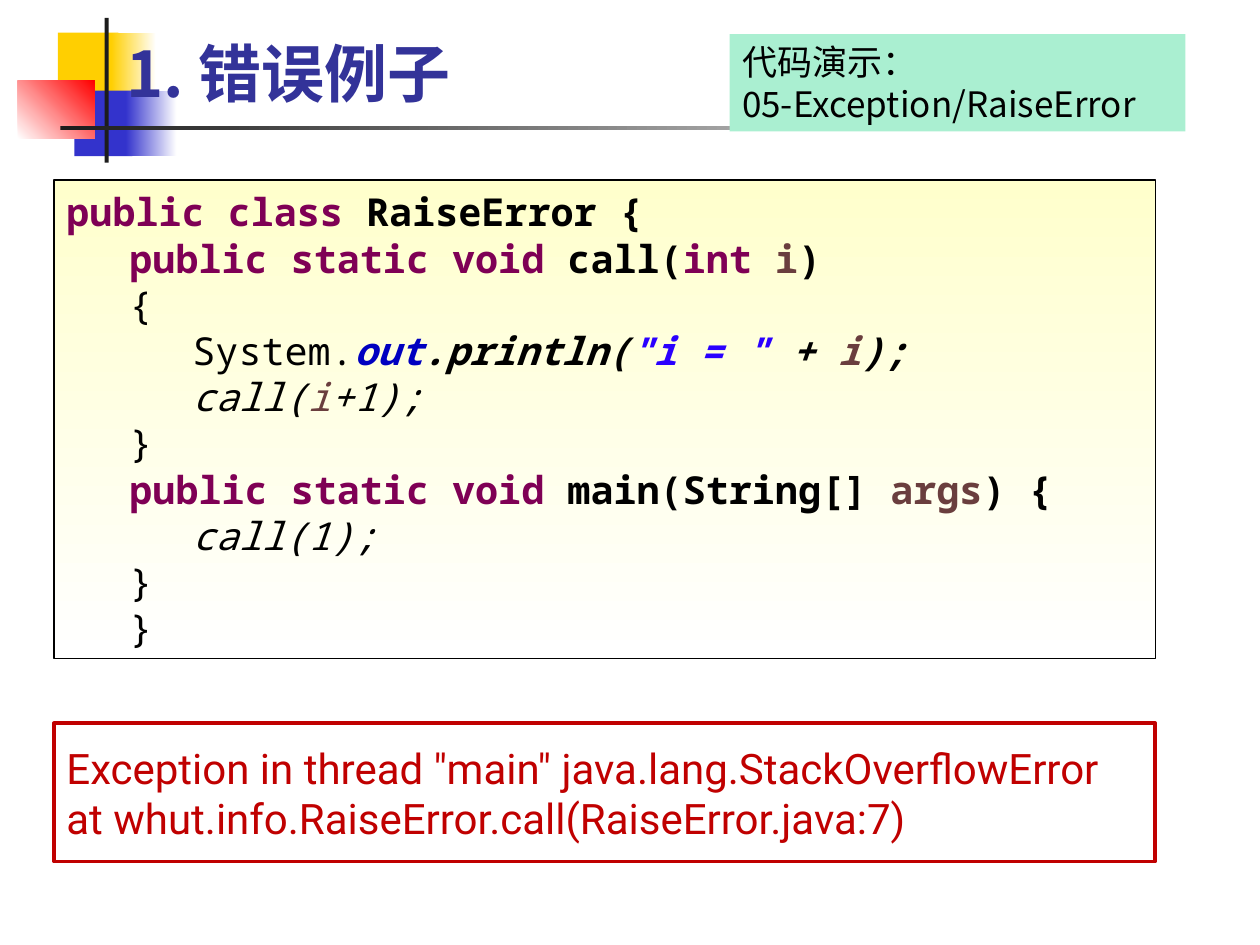
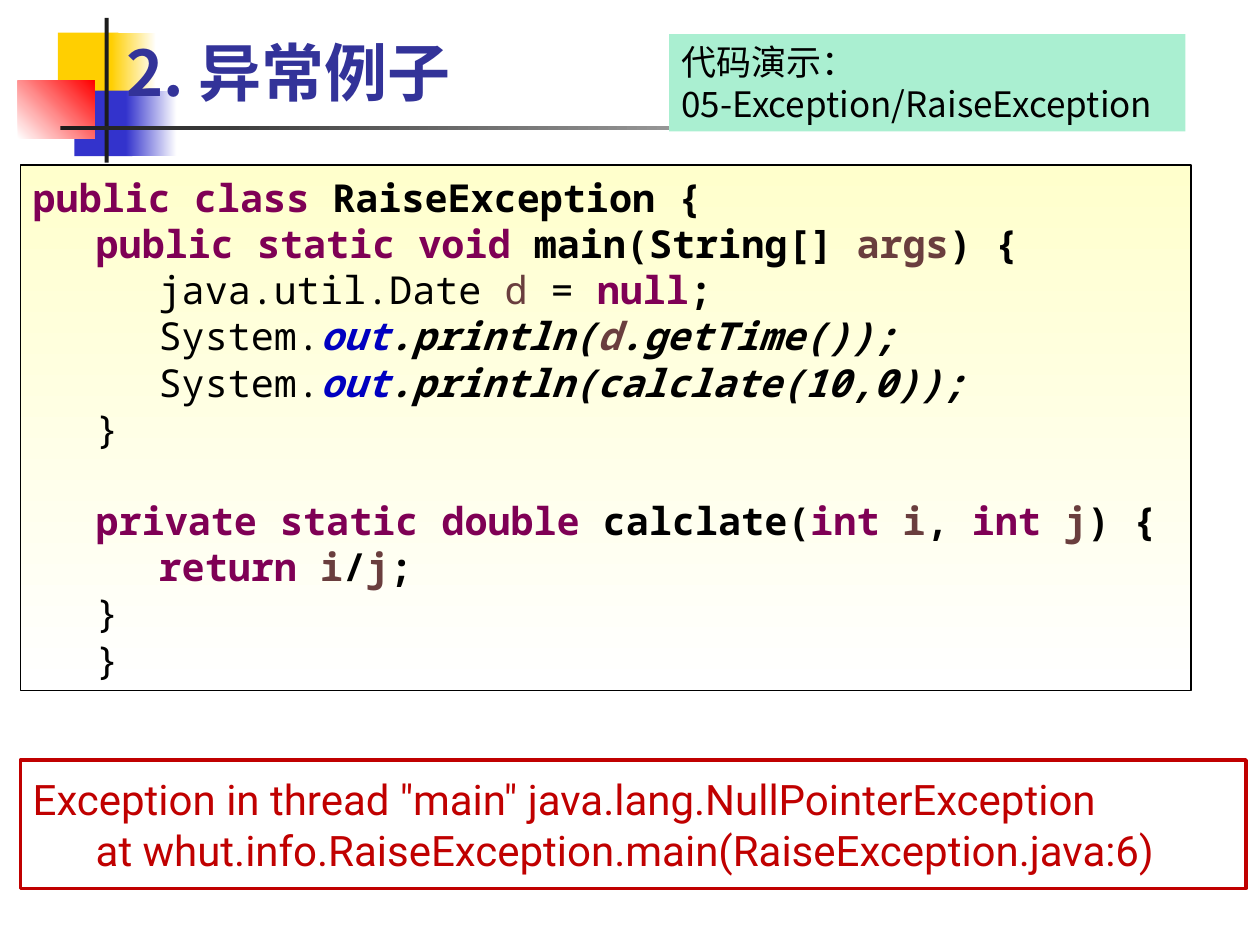
from lxml import etree
from pptx import Presentation
from pptx.dml.color import RGBColor
from pptx.enum.shapes import MSO_SHAPE
from pptx.enum.text import MSO_ANCHOR, PP_ALIGN
from pptx.oxml.ns import qn
from pptx.util import Cm, Pt

RECT = MSO_SHAPE.RECTANGLE
TOP, MIDDLE, BOTTOM = MSO_ANCHOR.TOP, MSO_ANCHOR.MIDDLE, MSO_ANCHOR.BOTTOM
LEFT = PP_ALIGN.LEFT

SANS, MONO, LOG = "Noto Sans CJK SC", "Noto Sans Mono", "Roboto"
BLACK, WHITE, INK = "000000", "FFFFFF", "1C1C1C"
YELLOW, BLUE, RED = "FFCF01", "3333CC", "FF0000"
CREAM, MINT, NAVY, ALERT = "FFFFCC", "AAEFD1", "333399", "C00000"
WORD, VAR, FIELD, QUOTE = "7F0055", "6A3E3E", "0000C0", "2A00FF"
INDENT = 1.27
LEADING = 1.2
TAG_RIGHT = 23.9

# Code styles: colour, bold, italic
STYLES = {
    "word": (WORD, True, False),
    "bold": (BLACK, True, False),
    "plain": (BLACK, False, False),
    "slant": (BLACK, False, True),
    "call": (BLACK, True, True),
    "var": (VAR, True, False),
    "thin var": (VAR, False, False),
    "slant var": (VAR, False, True),
    "call var": (VAR, True, True),
    "field": (FIELD, True, True),
    "quote": (QUOTE, True, True),
}

# Code lines: indent level, then (style, text) pairs; None is an empty line
PRINT = [("plain", "System."), ("field", "out")]
CLOSE = (1, [("plain", "}")])
MAIN = (1, [("word", "public static void"), ("bold", " main(String[] "),
            ("var", "args"), ("bold", ") {")])

ERROR_CODE = [
    (0, [("word", "public class"), ("bold", " RaiseError {")]),
    (1, [("word", "public static void"), ("bold", " call("),
         ("word", "int "), ("var", "i"), ("bold", ")")]),
    (1, [("plain", "{")]),
    (2, PRINT + [("call", ".println("), ("quote", "\"i = \""),
                 ("call", " + "), ("call var", "i"), ("call", ");")]),
    (2, [("slant", "call("), ("slant var", "i"), ("slant", "+1);")]),
    CLOSE,
    MAIN,
    (1, [("slant", "\tcall(1);")]),
    CLOSE,
    CLOSE,
]

FAULT_CODE = [
    (0, [("word", "public class"), ("bold", " RaiseException {")]),
    MAIN,
    (2, [("plain", "java.util.Date "), ("thin var", "d"), ("plain", " = "),
         ("word", "null"), ("bold", ";")]),
    (2, PRINT + [("call", ".println("), ("call var", "d"),
                 ("call", ".getTime());")]),
    (2, PRINT + [("call", ".println(calclate(10,0));")]),
    CLOSE,
    None,
    (1, [("word", "private static double"), ("bold", " calclate("),
         ("word", "int "), ("var", "i"), ("bold", ", "),
         ("word", "int "), ("var", "j"), ("bold", ") {")]),
    (1, [("word", "\treturn "), ("var", "i"), ("bold", "/"),
         ("var", "j"), ("bold", ";")]),
    CLOSE,
    CLOSE,
]


def rgb(code):
    return RGBColor.from_string(code)


def paint(shape, fill, angle=0):
    """Fill with a colour, a pair of gradient colours, or nothing."""
    if fill is None:
        shape.fill.background()
    elif isinstance(fill, str):
        shape.fill.solid()
        shape.fill.fore_color.rgb = rgb(fill)
    else:
        shape.fill.gradient()
        shape.fill.gradient_angle = angle
        for stop, place, code in zip(shape.fill.gradient_stops, (0, 1), fill):
            stop.position = place
            stop.color.rgb = rgb(code)


def add_box(slide, box, fill=None, angle=0, line=None, width=0.75):
    shape = slide.shapes.add_shape(RECT, *map(Cm, box))
    shape.shadow.inherit = False
    paint(shape, fill, angle)
    if line:
        shape.line.color.rgb = rgb(line)
        shape.line.width = Pt(width)
    else:
        shape.line.fill.background()
    return shape


def set_font(para, name, size, color=None, bold=False):
    font = para.font
    font.name, font.size, font.bold = name, Pt(size), bold
    etree.SubElement(font._element, qn("a:ea"), typeface=name)
    if color:
        font.color.rgb = rgb(color)
    para.alignment = LEFT
    para.line_spacing = Pt(size * LEADING)


def get_paras(frame, count, anchor):
    """Prepare a text frame and return its paragraphs."""
    frame.word_wrap = True
    frame.vertical_anchor = anchor
    for _ in range(count - 1):
        frame.add_paragraph()
    return frame.paragraphs


def write(shape, lines, name, size, color, anchor, bold=False):
    for para, text in zip(get_paras(shape.text_frame, len(lines), anchor),
                          lines):
        para.add_run().text = text
        set_font(para, name, size, color, bold)


def add_motif(slide, layout):
    """Draw the corner blocks and rule, then move them to the layout."""
    parts = [
        ((1.17, 0.66, 1.22, 1.32), YELLOW, 0),
        ((2.24, 0.66, 0.91, 1.32), (YELLOW, WHITE), 0),
        ((1.5, 1.83, 1.17, 1.32), BLUE, 0),
        ((2.54, 1.83, 1.02, 1.32), (BLUE, WHITE), 0),
        ((0.36, 1.63, 1.55, 1.17), (WHITE, RED), 45),
        ((2.11, 0.36, 0.08, 2.92), INK, 0),
        ((1.22, 2.54, 22.86, 0.08), (INK, WHITE), 0),
    ]
    for box, fill, angle in parts:
        shape = add_box(slide, box, fill, angle)
        layout.shapes._spTree.append(shape._element)


def add_title(slide, box, text):
    title = slide.shapes.title
    title.left, title.top, title.width, title.height = map(Cm, box)
    write(title, [text], SANS, 36, NAVY, BOTTOM, True)


def add_code(slide, box, lines, size=22):
    shape = add_box(slide, box, (CREAM, WHITE), 270, BLACK)
    shown = [line for line in lines if line]
    paras = iter(get_paras(shape.text_frame, len(shown), MIDDLE))
    gap = 0
    for line in lines:
        if line is None:
            gap += size * LEADING
            continue
        level, runs = line
        para = next(paras)
        para.level = level
        props = para._p.get_or_add_pPr()
        props.set("marL", str(Cm(INDENT * level)))
        props.set("indent", "0")
        set_font(para, MONO, size)
        if gap:
            para.space_before = Pt(gap)
            gap = 0
        for style, text in runs:
            run = para.add_run()
            run.text = text
            color, run.font.bold, run.font.italic = STYLES[style]
            run.font.color.rgb = rgb(color)


def add_log(slide, box, lines):
    shape = add_box(slide, box, line=ALERT, width=2)
    write(shape, lines, LOG, 24, ALERT, MIDDLE)


def add_tag(slide, width, name):
    """Label the demo folder, flush with the right margin."""
    shape = add_box(slide, (TAG_RIGHT - width, 0.69, width, 1.96), MINT)
    write(shape, ["代码演示：", "05-Exception/" + name], SANS, 20, BLACK, TOP)


def add_demo(slide, title, code, log, tag):
    """Each part is a tuple of its place and its content."""
    add_title(slide, *title)
    add_code(slide, *code)
    add_log(slide, *log)
    add_tag(slide, *tag)


def main():
    deck = Presentation()
    deck.slide_width, deck.slide_height = Cm(25.4), Cm(19.05)
    layout = deck.slide_layouts[5]
    first, second = [deck.slides.add_slide(layout) for _ in range(2)]
    add_motif(first, layout)
    add_demo(
        first,
        title=((2.29, 0.46, 21.64, 1.88), "1. 错误例子"),
        code=((1.09, 3.63, 22.2, 9.65), ERROR_CODE),
        log=((1.09, 14.58, 22.2, 2.79),
             ["Exception in thread \"main\" java.lang.StackOverflowError",
              "at whut.info.RaiseError.call(RaiseError.java:7)"]),
        tag=(9.19, "RaiseError"),
    )
    add_demo(
        second,
        title=((2.29, 0.53, 12.4, 1.8), "2. 异常例子"),
        code=((0.41, 3.33, 23.6, 10.59), FAULT_CODE),
        log=((0.41, 15.32, 24.71, 2.59),
             ["Exception in thread \"main\" java.lang.NullPointerException",
              "\tat whut.info.RaiseException.main(RaiseException.java:6)"]),
        tag=(10.41, "RaiseException"),
    )
    deck.save("out.pptx")


if __name__ == "__main__":
    main()
